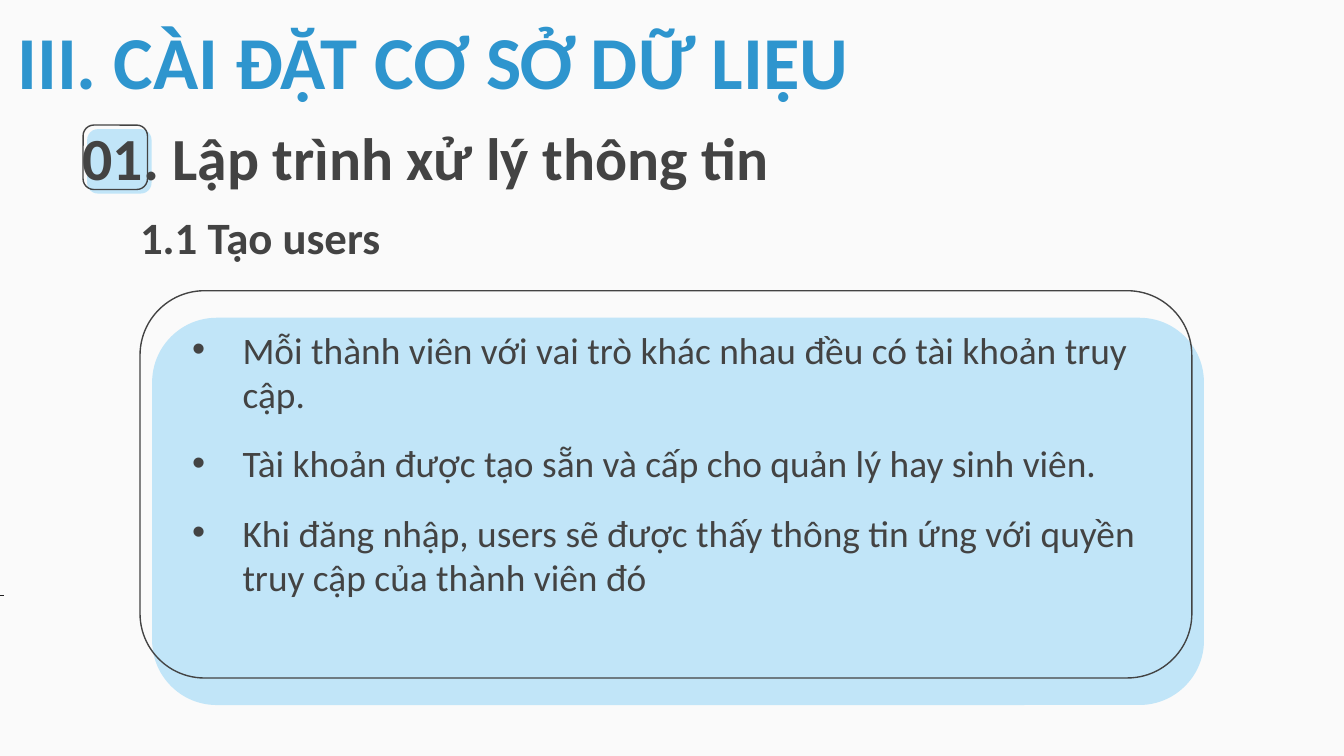
from lxml import etree
from pptx import Presentation
from pptx.dml.color import RGBColor
from pptx.enum.shapes import MSO_CONNECTOR, MSO_SHAPE
from pptx.enum.text import MSO_ANCHOR, MSO_AUTO_SIZE, PP_ALIGN
from pptx.oxml.ns import qn
from pptx.util import Pt

ROUNDED = MSO_SHAPE.ROUNDED_RECTANGLE
STRAIGHT = MSO_CONNECTOR.STRAIGHT
TOP, BOTTOM = MSO_ANCHOR.TOP, MSO_ANCHOR.BOTTOM
LEFT, CENTER = PP_ALIGN.LEFT, PP_ALIGN.CENTER
NO_AUTOFIT = MSO_AUTO_SIZE.NONE

BACKGROUND = RGBColor(0xFA, 0xFA, 0xFA)
DARK = RGBColor(0x43, 0x43, 0x43)
TICK = RGBColor(0x1F, 0x1F, 0x1F)
BLUE = RGBColor(0x2E, 0x95, 0xCE)
PALE_BLUE = RGBColor(0xC1, 0xE5, 0xF8)
FONT = "Calibri"
BULLET_INDENT = 27

ACCOUNT_POINTS = [
    "Mỗi thành viên với vai trò khác nhau đều có tài khoản truy cập.",
    "Tài khoản được tạo sẵn và cấp cho quản lý hay sinh viên.",
    "Khi đăng nhập, users sẽ được thấy thông tin ứng với quyền truy cập "
    "của thành viên đó",
]


def place(shape, left, top, width, height):
    """Move and size a shape, in points."""
    shape.left, shape.top = Pt(left), Pt(top)
    shape.width, shape.height = Pt(width), Pt(height)


def add_offset_card(slide, left, top, width, height, shift_x, shift_y):
    """Group an outlined rounded card with a filled one shifted behind it."""
    group = slide.shapes.add_group_shape()
    for x, y, filled in ((left + shift_x, top + shift_y, True), (left, top, False)):
        card = group.shapes.add_shape(ROUNDED, Pt(x), Pt(y), Pt(width), Pt(height))
        card.shadow.inherit = False
        if filled:
            card.fill.solid()
            card.fill.fore_color.rgb = PALE_BLUE
            card.line.fill.background()
        else:
            card.fill.background()
            card.line.color.rgb = DARK
            card.line.width = Pt(0.75)


def add_edge_tick(slide, left, top, length):
    """Draw the short horizontal line at the slide edge."""
    tick = slide.shapes.add_connector(
        STRAIGHT, Pt(left), Pt(top), Pt(left + length), Pt(top))
    tick.line.color.rgb = TICK
    tick.line.width = Pt(0.3)
    etree.SubElement(tick.element.spPr, qn("a:effectLst"))


def add_bullet(paragraph):
    """Give a paragraph a hanging round bullet."""
    properties = paragraph._p.get_or_add_pPr()
    properties.set("marL", str(Pt(BULLET_INDENT)))
    properties.set("indent", str(-Pt(BULLET_INDENT)))
    color = etree.SubElement(properties, qn("a:buClr"))
    etree.SubElement(color, qn("a:srgbClr"), val=str(DARK))
    etree.SubElement(properties, qn("a:buFont"), typeface="Arial")
    etree.SubElement(properties, qn("a:buChar"), char="•")


def write_text(shape, lines, size, color=DARK, bold=True, align=LEFT,
               anchor=BOTTOM, inset=7.2, inset_y=7.2, gap=0, bullets=False):
    """Write formatted paragraphs into a shape."""
    frame = shape.text_frame
    frame.word_wrap = True
    frame.auto_size = NO_AUTOFIT
    frame.vertical_anchor = anchor
    frame.margin_left = frame.margin_right = Pt(inset)
    frame.margin_top = frame.margin_bottom = Pt(inset_y)
    for index, line in enumerate(lines):
        paragraph = frame.paragraphs[0] if index == 0 else frame.add_paragraph()
        paragraph.alignment = align
        paragraph.space_before = Pt(gap if index else 0)
        if bullets:
            add_bullet(paragraph)
        run = paragraph.add_run()
        run.text = line
        run.font.name = FONT
        run.font.size = Pt(size)
        run.font.bold = bold
        run.font.color.rgb = color


def add_text(slide, box, lines, size, **text_format):
    """Add a text box and write its lines."""
    write_text(slide.shapes.add_textbox(*map(Pt, box)), lines, size, **text_format)


def add_title(slide, box, text):
    """Place the title placeholder in front of the shapes drawn so far."""
    title = slide.shapes.title
    place(title, *box)
    write_text(title, [text], 32, align=CENTER)
    slide.shapes.element.append(title.element)


def main():
    """Build and save the slide."""
    presentation = Presentation()
    presentation.slide_width, presentation.slide_height = Pt(720), Pt(405)
    slide = presentation.slides.add_slide(presentation.slide_layouts[5])
    slide.background.fill.solid()
    slide.background.fill.fore_color.rgb = BACKGROUND

    add_offset_card(slide, 44.5, 67, 34.5, 34.5, 2.2, 2.2)
    add_offset_card(slide, 75, 155.75, 563.5, 207.5, 6.5, 14.5)
    add_edge_tick(slide, 0, 319, 2.2)

    add_title(slide, (26, 60, 404.5, 50.4), "01. Lập trình xử lý thông tin")
    add_text(slide, (2.2, 4.3, 474, 55.5), ["III. CÀI ĐẶT CƠ SỞ DỮ LIỆU"], 40,
             color=BLUE, anchor=TOP, inset_y=3.6)
    add_text(slide, (95.8, 155.5, 546.5, 172.8), ACCOUNT_POINTS, 20,
             bold=False, gap=13, bullets=True)
    add_text(slide, (26, 98, 226.8, 50.4), ["1.1 Tạo users"], 24, align=CENTER)

    presentation.save("out.pptx")


if __name__ == "__main__":
    main()
